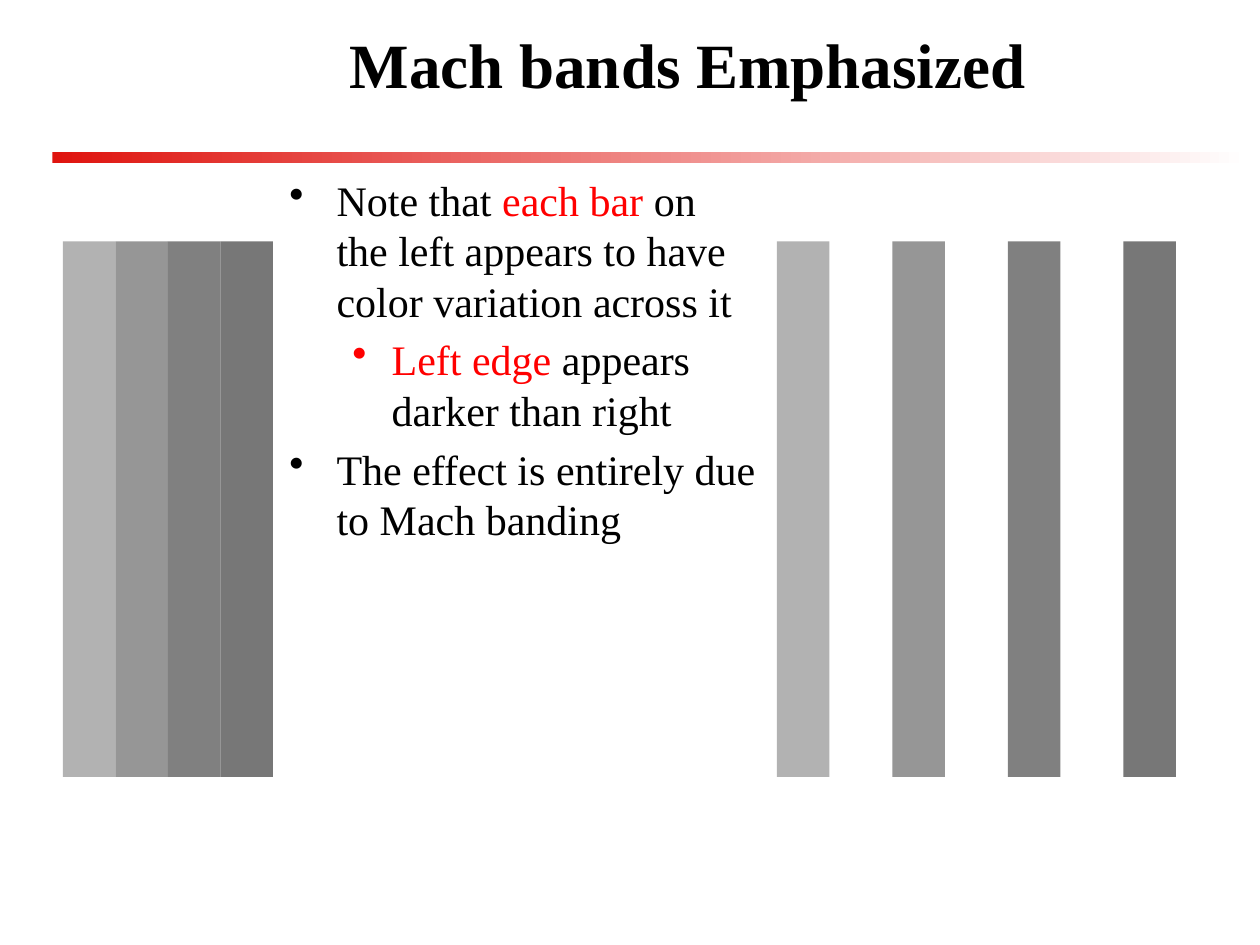
"""Build the slide about emphasized Mach bands."""
from lxml.etree import SubElement
from pptx import Presentation
from pptx.dml.color import RGBColor
from pptx.enum.shapes import MSO_SHAPE
from pptx.enum.text import MSO_ANCHOR, PP_ALIGN
from pptx.oxml.ns import qn
from pptx.util import Pt

FONT = "Times New Roman"
BLACK, RED = "000000", "FF0000"
GRAYS = ["B2B2B2", "969696", "808080", "777777"]
BULLETS = [
    (0, 27, -27, [("Note that ", BLACK), ("each bar ", RED),
                  ("on the left appears to have color variation across it", BLACK)]),
    (1, 58.5, -22.5, [("Left edge ", RED), ("appears darker than right", BLACK)]),
    (0, 27, -27, [("The effect is entirely due to Mach banding", BLACK)]),
]


def color(value):
    return RGBColor.from_string(value)


def add_bar(left, top, width, height):
    shape = slide.shapes.add_shape(
        MSO_SHAPE.RECTANGLE, Pt(left), Pt(top), Pt(width), Pt(height))
    shape.shadow.inherit = False
    shape.line.fill.background()
    return shape


presentation = Presentation()
presentation.slide_width = Pt(720)
presentation.slide_height = Pt(540)
slide = presentation.slides.add_slide(presentation.slide_layouts[6])

rule = add_bar(30, 87, 684, 6)
rule.fill.gradient()
rule.fill.gradient_angle = 0
for stop, position, value in zip(rule.fill.gradient_stops, (0, 1), ("DF140F", "FFFFFF")):
    stop.position = position
    stop.color.rgb = color(value)

title = slide.shapes.add_textbox(Pt(84), Pt(6), Pt(618), Pt(60)).text_frame
title.word_wrap = True
title.vertical_anchor = MSO_ANCHOR.MIDDLE
paragraph = title.paragraphs[0]
paragraph.text = "Mach bands Emphasized"
paragraph.alignment = PP_ALIGN.CENTER
paragraph.font.name = FONT
paragraph.font.size = Pt(36)
paragraph.font.bold = True
paragraph.font.color.rgb = color(BLACK)

body = slide.shapes.add_textbox(Pt(158.25), Pt(96), Pt(281.25), Pt(342)).text_frame
body.word_wrap = True
for index, (level, margin, indent, runs) in enumerate(BULLETS):
    paragraph = body.add_paragraph() if index else body.paragraphs[0]
    paragraph.level = level
    paragraph.space_before = Pt(4.8)
    paragraph.font.name = FONT
    paragraph.font.size = Pt(24)
    properties = paragraph._p.get_or_add_pPr()
    properties.set("marL", str(Pt(margin)))
    properties.set("indent", str(Pt(indent)))
    bullet = SubElement(properties, qn("a:buChar"), char="•")
    properties.find(qn("a:defRPr")).addprevious(bullet)
    for text, value in runs:
        run = paragraph.add_run()
        run.text = text
        run.font.color.rgb = color(value)

for first_left, step in ((444, 66), (36, 30)):
    for index, gray in enumerate(GRAYS):
        bar = add_bar(first_left + index * step, 138, 30, 306)
        bar.fill.solid()
        bar.fill.fore_color.rgb = color(gray)

presentation.save("out.pptx")
